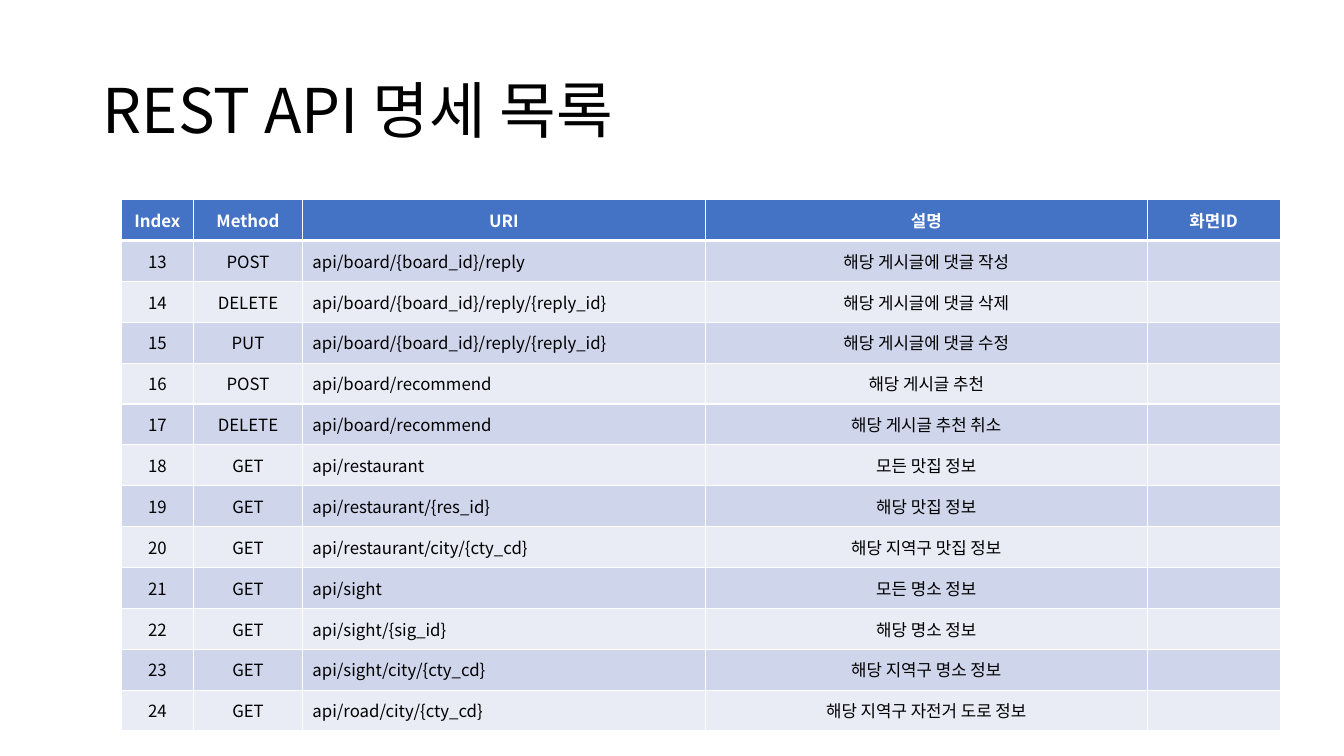
from dataclasses import dataclass

from lxml import etree
from pptx import Presentation
from pptx.dml.color import RGBColor
from pptx.enum.text import MSO_ANCHOR, PP_ALIGN
from pptx.oxml.ns import qn
from pptx.util import Cm, Pt

LEFT, CENTER = PP_ALIGN.LEFT, PP_ALIGN.CENTER
MIDDLE = MSO_ANCHOR.MIDDLE

TITLE = "REST API 명세 목록"
HEAD = ("Index", "Method", "URI", "설명", "화면ID")
FIRST = 13
CALLS = [
    ("POST", "api/board/{board_id}/reply", "해당 게시글에 댓글 작성"),
    ("DELETE", "api/board/{board_id}/reply/{reply_id}", "해당 게시글에 댓글 삭제"),
    ("PUT", "api/board/{board_id}/reply/{reply_id}", "해당 게시글에 댓글 수정"),
    ("POST", "api/board/recommend", "해당 게시글 추천"),
    ("DELETE", "api/board/recommend", "해당 게시글 추천 취소"),
    ("GET", "api/restaurant", "모든 맛집 정보"),
    ("GET", "api/restaurant/{res_id}", "해당 맛집 정보"),
    ("GET", "api/restaurant/city/{cty_cd}", "해당 지역구 맛집 정보"),
    ("GET", "api/sight", "모든 명소 정보"),
    ("GET", "api/sight/{sig_id}", "해당 명소 정보"),
    ("GET", "api/sight/city/{cty_cd}", "해당 지역구 명소 정보"),
    ("GET", "api/road/city/{cty_cd}", "해당 지역구 자전거 도로 정보"),
]
WIDTHS = (1.83, 2.74, 10.16, 11.13, 3.35)
ROW = 1.03
URI = HEAD.index("URI")


@dataclass(frozen=True)
class Theme:
    font: str = "Noto Sans CJK KR"
    title: int = 44
    body: int = 12
    ink: str = "000000"
    white: str = "FFFFFF"
    head: str = "4472C4"
    bands: tuple = ("CFD5EA", "E9EBF5")
    thin: int = 1
    thick: int = 3


THEME = Theme()


def write(para, text, size, color, bold=False, align=LEFT):
    para.text = text
    para.alignment = align
    font = para.font
    font.name, font.size, font.bold = THEME.font, Pt(size), bold
    font.color.rgb = RGBColor.from_string(color)
    props = para._p.pPr.find(qn("a:defRPr"))
    etree.SubElement(props, qn("a:ea"), typeface=THEME.font)


def edge(cell, side, width):
    line = etree.SubElement(cell._tc.get_or_add_tcPr(), qn("a:ln" + side),
                            w=str(Pt(width)))
    fill = etree.SubElement(line, qn("a:solidFill"))
    etree.SubElement(fill, qn("a:srgbClr"), val=THEME.white)


def add_title(slide):
    box = slide.shapes.add_textbox(Cm(2.34), Cm(1.02), Cm(29.21), Cm(3.68))
    frame = box.text_frame
    frame.word_wrap = True
    frame.vertical_anchor = MIDDLE
    para = frame.paragraphs[0]
    para.line_spacing = 0.9
    write(para, TITLE, THEME.title, THEME.ink)


def add_calls(slide):
    rows = [HEAD] + [(str(num), *call, "") for num, call in enumerate(CALLS, FIRST)]
    table = slide.shapes.add_table(
        len(rows), len(HEAD), Cm(3.05), Cm(5.03),
        Cm(sum(WIDTHS)), Cm(ROW * len(rows))).table
    for col, width in zip(table.columns, WIDTHS):
        col.width = Cm(width)
    for r, texts in enumerate(rows):
        table.rows[r].height = Cm(ROW)
        top = r == 0
        color = THEME.white if top else THEME.ink
        band = THEME.head if top else THEME.bands[(r - 1) % 2]
        for c, text in enumerate(texts):
            cell = table.cell(r, c)
            cell.vertical_anchor = MIDDLE
            align = LEFT if c == URI and not top else CENTER
            write(cell.text_frame.paragraphs[0], text, THEME.body, color, top, align)
            for side in "LRTB":
                heavy = (r, side) in ((0, "B"), (1, "T"))
                edge(cell, side, THEME.thick if heavy else THEME.thin)
            cell.fill.solid()
            cell.fill.fore_color.rgb = RGBColor.from_string(band)


def main():
    deck = Presentation()
    deck.slide_width, deck.slide_height = Cm(33.87), Cm(19.05)
    slide = deck.slides.add_slide(deck.slide_layouts[6])
    add_title(slide)
    add_calls(slide)
    deck.save("out.pptx")


if __name__ == "__main__":
    main()
